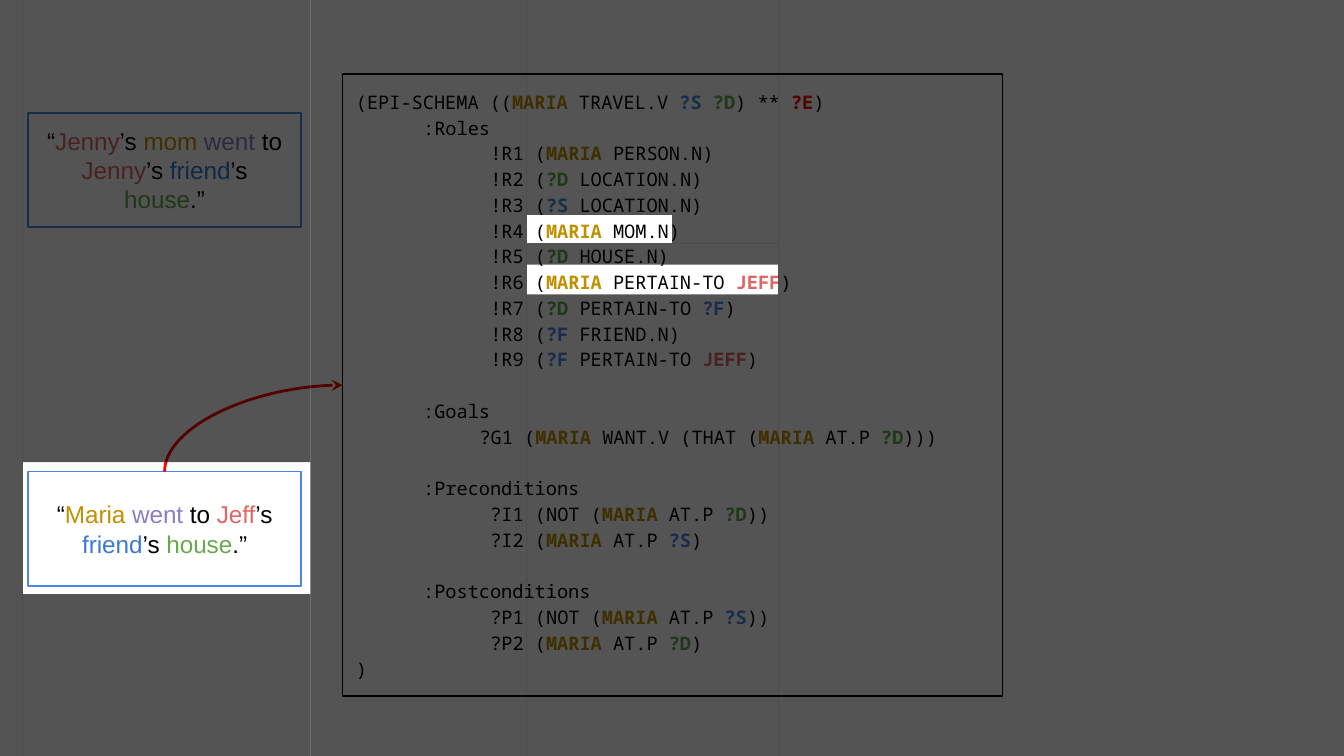
from lxml.etree import SubElement
from pptx import Presentation
from pptx.dml.color import RGBColor
from pptx.enum.shapes import MSO_CONNECTOR as Connector, MSO_SHAPE as Shape
from pptx.enum.text import MSO_ANCHOR as Anchor, MSO_AUTO_SIZE as AutoSize, PP_ALIGN as Align
from pptx.oxml.ns import qn
from pptx.util import Inches, Pt

WIDTH = 10
HEIGHT = WIDTH * 9 / 16
BLACK, GOLD, GREEN, ROSE, BLUE = "000000", "BF9000", "6AA84F", "E06666", "4A86E8"
SCHEMA_COLORS = {"MARIA": GOLD, "JEFF": ROSE, "?D": GREEN, "?S": BLUE, "?F": BLUE, "?E": "FF0000"}
SENTENCE_COLORS = {"Jenny": ROSE, "Jeff": ROSE, "mom": GOLD, "Maria": GOLD,
                   "went": "8E7CC3", "friend": "3C78D8", "house": GREEN}
ROLES = [
    "|MARIA| PERSON.N", "|?D| LOCATION.N", "|?S| LOCATION.N", "|MARIA| MOM.N", "|?D| HOUSE.N",
    "|MARIA| PERTAIN-TO |JEFF|", "|?D| PERTAIN-TO |?F|", "|?F| FRIEND.N", "|?F| PERTAIN-TO |JEFF|",
]
SECTIONS = [
    (":Roles", 1, [f"!R{number} ({role})" for number, role in enumerate(ROLES, 1)]),
    (":Goals", 0.92, ["?G1 (|MARIA| WANT.V (THAT (|MARIA| AT.P |?D|)))"]),
    (":Preconditions", 1, ["?I1 (NOT (|MARIA| AT.P |?D|))", "?I2 (|MARIA| AT.P |?S|)"]),
    (":Postconditions", 1, ["?P1 (NOT (|MARIA| AT.P |?S|))", "?P2 (|MARIA| AT.P |?D|)"]),
]
SCHEMA_BOX = (2.55, 0.55, 4.91, 4.63)
EARLIER_BOX = (0.21, 0.84, 2.03, 0.85)
CURRENT_BOX = (0.21, 3.51, 2.03, 0.85)


def color(value):
    return RGBColor.from_string(value)


def set_all(target, values):
    for name, value in values.items():
        setattr(target, name, value)


def add_box(slide, box, fill=None, line=None):
    shape = slide.shapes.add_shape(Shape.RECTANGLE, *map(Inches, box))
    shape.shadow.inherit = False
    if fill:
        shape.fill.solid()
        shape.fill.fore_color.rgb = color(fill)
    else:
        shape.fill.background()
    if line:
        shape.line.color.rgb = color(line)
        shape.line.width = Pt(0.75)
    else:
        shape.line.fill.background()
    return shape


def prepare_frame(shape, **values):
    frame = shape.text_frame
    sides = ("left", "top", "right", "bottom")
    set_all(frame, {f"margin_{side}": Inches(0.1) for side in sides} | {"word_wrap": True} | values)
    return frame


def write_runs(paragraph, text, colors, font, size, bold_terms=False):
    for piece in filter(None, text.split("|")):
        run = paragraph.add_run()
        run.text = piece
        set_all(run.font, {"name": font, "size": Pt(size), "bold": bold_terms and piece in colors})
        run.font.color.rgb = color(colors.get(piece, BLACK))


def add_schema(slide, box):
    frame = prepare_frame(add_box(slide, box, line=BLACK),
                          vertical_anchor=Anchor.TOP, auto_size=AutoSize.SHAPE_TO_FIT_TEXT)
    lines = [("(EPI-SCHEMA ((|MARIA| TRAVEL.V |?S| |?D|) ** |?E|)", 0, 0)]
    for index, (title, indent, entries) in enumerate(SECTIONS):
        lines.append((title, 0.5, 13.8 if index else 0))
        lines += [(entry, indent, 0) for entry in entries]
    lines.append((")", 0, 0))
    for index, (text, indent, gap) in enumerate(lines):
        paragraph = frame.add_paragraph() if index else frame.paragraphs[0]
        set_all(paragraph, {"alignment": Align.LEFT, "line_spacing": 1.15, "space_before": Pt(gap)})
        properties = paragraph._p.get_or_add_pPr()
        properties.set("marL", str(Inches(indent)))
        properties.set("indent", "0")
        write_runs(paragraph, text, SCHEMA_COLORS, "Noto Sans Mono", 10, bold_terms=True)


def add_sentence(slide, box, text):
    frame = prepare_frame(add_box(slide, box, "FFFFFF", BLUE), vertical_anchor=Anchor.MIDDLE)
    paragraph = frame.paragraphs[0]
    paragraph.alignment = Align.CENTER
    write_runs(paragraph, text, SENTENCE_COLORS, "Arial", 13)


def add_curved_arrow(slide, source, target):
    start_x, start_y = source[0] + source[2] / 2, source[1]
    end_x, end_y = target[0], target[1] + target[3] / 2
    center_x, center_y = (start_x + end_x) / 2, (start_y + end_y) / 2
    half_width, half_height = (start_y - end_y) / 2, (end_x - start_x) / 2
    corners = (center_x - half_width, center_y - half_height,
               center_x + half_width, center_y + half_height)
    connector = slide.shapes.add_connector(Connector.CURVE, *map(Inches, corners))
    connector.line.color.rgb = color("FF0000")
    connector.line.width = Pt(1.5)
    properties = connector._element.spPr
    properties.find(qn("a:xfrm")).set("rot", str(270 * 60000))
    properties.find(qn("a:prstGeom")).set("prst", "curvedConnector2")
    SubElement(properties.find(qn("a:ln")), qn("a:tailEnd"), type="stealth")
    SubElement(properties, qn("a:effectLst"))


def add_dimming(slide, box):
    left, top, width, height = box
    right, bottom = left + width, top + height
    sentence_left, sentence_right, roles_left, roles_right = (
        left + offset for offset in (0.17, 2.31, 3.92, 5.79))
    sentence_top, sentence_bottom = top + 3.44, top + 4.42
    mom_top, mom_bottom, pertain_top, pertain_bottom = (
        top + offset for offset in (1.6, 1.81, 1.97, 2.19))
    panels = [
        (left, top, sentence_left, bottom),
        (roles_right, top, right, bottom),
        (roles_left, top, roles_right, mom_top),
        (roles_left, pertain_bottom, roles_right, bottom),
        (roles_left, mom_bottom, roles_right, pertain_top),
        (sentence_right, top, roles_left, bottom),
        (sentence_left, top, sentence_right, sentence_top),
        (sentence_left, sentence_bottom, sentence_right, bottom),
        (left + 5, mom_top, roles_right, mom_bottom),
    ]
    for x1, y1, x2, y2 in panels:
        panel = add_box(slide, (x1, y1, x2 - x1, y2 - y1), BLACK)
        fill_color = panel._element.spPr.find(qn("a:solidFill"))[0]
        SubElement(fill_color, qn("a:alpha"), val="67000")


def main():
    presentation = Presentation()
    set_all(presentation, {"slide_width": Inches(WIDTH), "slide_height": Inches(HEIGHT)})
    slide = presentation.slides.add_slide(presentation.slide_layouts[6])
    add_schema(slide, SCHEMA_BOX)
    add_sentence(slide, EARLIER_BOX,
                 "“|Jenny|’s |mom| |went| to |Jenny|’s |friend|’s |house|.”")
    add_sentence(slide, CURRENT_BOX, "“|Maria| |went| to |Jeff|’s |friend|’s |house|.”")
    add_curved_arrow(slide, CURRENT_BOX, SCHEMA_BOX)
    add_dimming(slide, (0, 0, WIDTH, HEIGHT))
    presentation.save("out.pptx")


if __name__ == "__main__":
    main()
